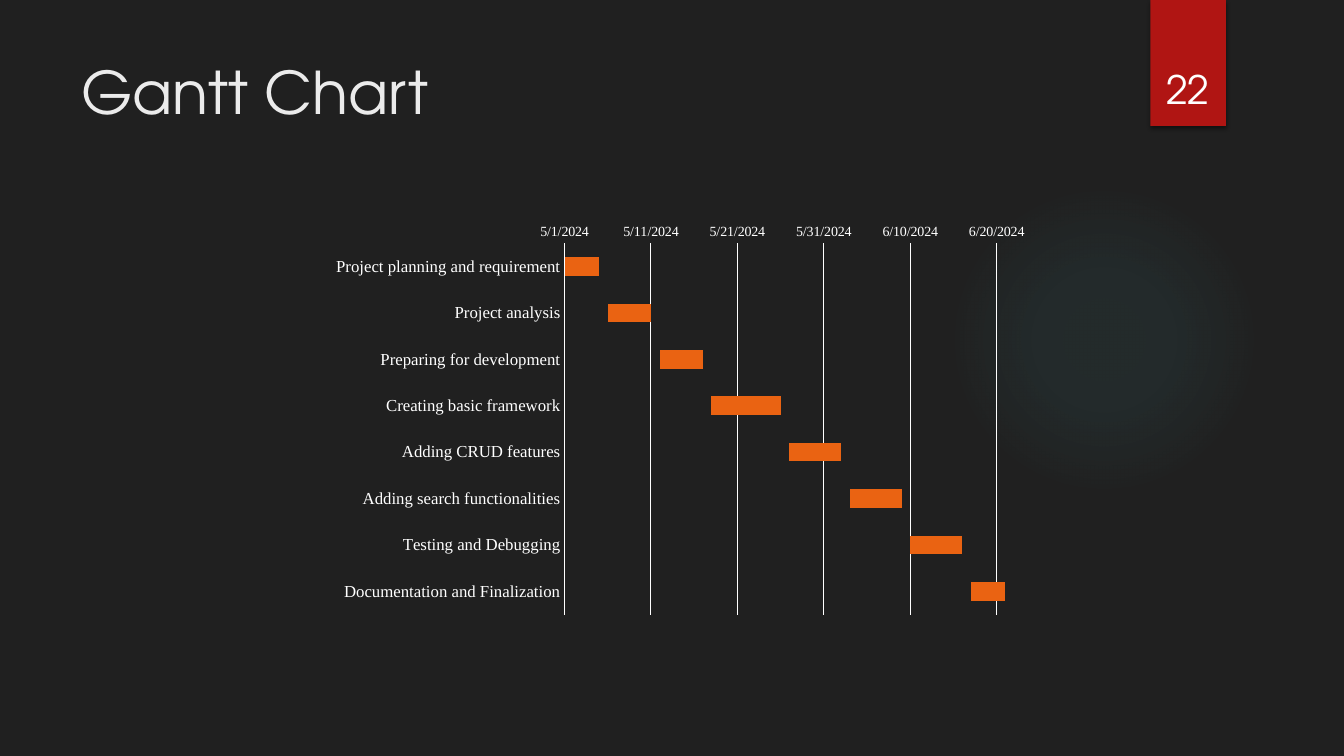
import pptx
import pptx.chart.data
import pptx.dml.color
import pptx.enum.chart
import pptx.enum.shapes
import pptx.enum.text
import pptx.oxml
import pptx.oxml.ns
import pptx.util
from pptx.util import Inches

TITLE = "Gantt Chart"
PAGE_NUMBER = "22"
# Days are spreadsheet date serials: 45413 is 5/1/2024
FIRST_DAY, LAST_DAY, TICK_DAYS = 45413, 45464, 10
TASKS = [  # name, start day, duration in days
    ("Project planning and requirement", 45413, 4),
    ("Project analysis", 45418, 5),
    ("Preparing for development", 45424, 5),
    ("Creating basic framework", 45430, 8),
    ("Adding CRUD features", 45439, 6),
    ("Adding search functionalities", 45446, 6),
    ("Testing and Debugging", 45453, 6),
    ("Documentation and Finalization", 45460, 4),
]
PLOT_LAYOUT = {"x": 0.415, "y": 0.087, "w": 0.523, "h": 0.838}
GLOW_STOPS = [(0, 7), (36, 6), (69, 0), (100, 0)]  # position %, opacity %

HEADING_FONT, CHART_FONT = "TeX Gyre Adventor", "Times New Roman"
BACKGROUND = pptx.dml.color.RGBColor(0x20, 0x20, 0x20)
GLOW = pptx.dml.color.RGBColor(0x50, 0xB9, 0xC1)
RIBBON = pptx.dml.color.RGBColor(0xB0, 0x15, 0x13)
HEADING = pptx.dml.color.RGBColor(0xEB, 0xEB, 0xEB)
WHITE = pptx.dml.color.RGBColor(0xFF, 0xFF, 0xFF)
TASK_BAR = pptx.dml.color.RGBColor(0xEA, 0x63, 0x12)

MSO_SHAPE = pptx.enum.shapes.MSO_SHAPE
MSO_ANCHOR = pptx.enum.text.MSO_ANCHOR
PP_ALIGN = pptx.enum.text.PP_ALIGN
DRAWING = pptx.oxml.ns.nsdecls("a")


def style_font(font, name, size, color):
    font.name = name
    font.size = pptx.util.Pt(size)
    font.color.rgb = color


def style_line(line):
    line.color.rgb = WHITE
    line.width = pptx.util.Pt(0.75)


def add_plain_shape(slide, kind, left, top, width, height, color):
    shape = slide.shapes.add_shape(
        kind, Inches(left), Inches(top), Inches(width), Inches(height))
    shape.shadow.inherit = False
    shape.fill.solid()
    shape.fill.fore_color.rgb = color
    shape.line.fill.background()
    return shape


def add_glow(slide):
    """Add a circle that fades out from its centre."""
    glow = add_plain_shape(slide, MSO_SHAPE.OVAL, 9.41, 1.83, 3.08, 3.08, GLOW)
    stops = "".join(
        f'<a:gs pos="{position * 1000}"><a:srgbClr val="{GLOW}">'
        f'<a:alpha val="{opacity * 1000}"/></a:srgbClr></a:gs>'
        for position, opacity in GLOW_STOPS)
    gradient = pptx.oxml.parse_xml(
        f'<a:gradFill {DRAWING}><a:gsLst>{stops}</a:gsLst><a:path path="circle">'
        '<a:fillToRect l="50000" t="50000" r="50000" b="50000"/></a:path></a:gradFill>')
    properties = glow.element.spPr
    properties.replace(properties.find(pptx.oxml.ns.qn("a:solidFill")), gradient)


def add_ribbon(slide):
    ribbon = add_plain_shape(slide, MSO_SHAPE.RECTANGLE, 11.41, 0, 0.75, 1.25, RIBBON)
    effects = ribbon.element.spPr.find(pptx.oxml.ns.qn("a:effectLst"))
    effects.append(pptx.oxml.parse_xml(
        f'<a:outerShdw {DRAWING} blurRad="38100" dist="25400" dir="5400000" rotWithShape="0">'
        '<a:srgbClr val="000000"><a:alpha val="45000"/></a:srgbClr></a:outerShdw>'))


def add_text(slide, text, left, top, width, height, size, color, anchor, alignment):
    box = slide.shapes.add_textbox(
        Inches(left), Inches(top), Inches(width), Inches(height))
    frame = box.text_frame
    frame.word_wrap = True
    frame.vertical_anchor = anchor
    paragraph = frame.paragraphs[0]
    paragraph.alignment = alignment
    run = paragraph.add_run()
    run.text = text
    style_font(run.font, HEADING_FONT, size, color)


def add_gantt_chart(slide):
    names, starts, durations = zip(*TASKS)
    data = pptx.chart.data.CategoryChartData()
    data.categories = names
    data.add_series("Series 1", starts)
    data.add_series("Series 2", durations)
    chart = slide.shapes.add_chart(
        pptx.enum.chart.XL_CHART_TYPE.BAR_STACKED,
        Inches(2.13), Inches(2.03), Inches(8.36), Inches(4.4), data).chart
    chart.has_legend = False
    chart.has_title = False
    style_font(chart.font, HEADING_FONT, 10, WHITE)

    plot = chart.plots[0]
    plot.gap_width, plot.overlap = 150, 100
    plot.vary_by_categories = False
    offset_series, task_series = plot.series
    offset_series.format.fill.background()
    offset_series.format.line.fill.background()
    task_series.format.fill.solid()
    task_series.format.fill.fore_color.rgb = TASK_BAR

    task_axis, date_axis = chart.category_axis, chart.value_axis
    for axis, size in ((task_axis, 12), (date_axis, 10)):
        axis.major_tick_mark = pptx.enum.chart.XL_TICK_MARK.NONE
        axis.minor_tick_mark = pptx.enum.chart.XL_TICK_MARK.NONE
        style_font(axis.tick_labels.font, CHART_FONT, size, WHITE)
    task_axis.reverse_order = True
    task_axis.has_major_gridlines = False
    style_line(task_axis.format.line)
    date_axis.minimum_scale, date_axis.maximum_scale = FIRST_DAY, LAST_DAY
    date_axis.major_unit = TICK_DAYS
    date_axis.has_major_gridlines = True
    style_line(date_axis.major_gridlines.format.line)
    date_axis.format.line.fill.background()
    date_axis.tick_labels.number_format = "m/d/yyyy"
    date_axis.tick_labels.number_format_is_linked = False
    place_plot(chart)


def place_plot(chart):
    """Fix the inner plot area as fractions of the chart frame."""
    plot_area = chart.element.find(".//" + pptx.oxml.ns.qn("c:plotArea"))
    for layout in plot_area.findall(pptx.oxml.ns.qn("c:layout")):
        plot_area.remove(layout)
    modes = "".join(f'<c:{side}Mode val="edge"/>' for side in "xy")
    sizes = "".join(f'<c:{side} val="{value}"/>' for side, value in PLOT_LAYOUT.items())
    plot_area.insert(0, pptx.oxml.parse_xml(
        f'<c:layout {pptx.oxml.ns.nsdecls("c")}><c:manualLayout>'
        f'<c:layoutTarget val="inner"/>{modes}{sizes}</c:manualLayout></c:layout>'))


def main():
    presentation = pptx.Presentation()
    presentation.slide_width = Inches(13.33)
    presentation.slide_height = Inches(7.5)
    slide = presentation.slides.add_slide(presentation.slide_layouts[6])
    slide.background.fill.solid()
    slide.background.fill.fore_color.rgb = BACKGROUND
    add_glow(slide)
    add_ribbon(slide)
    add_text(slide, TITLE, 0.71, 0.5, 10.29, 1.53, 42, HEADING,
             MSO_ANCHOR.TOP, PP_ALIGN.LEFT)
    add_gantt_chart(slide)
    add_text(slide, PAGE_NUMBER, 11.32, 0.32, 0.92, 0.84, 28, WHITE,
             MSO_ANCHOR.BOTTOM, PP_ALIGN.CENTER)
    presentation.save("out.pptx")


if __name__ == "__main__":
    main()
